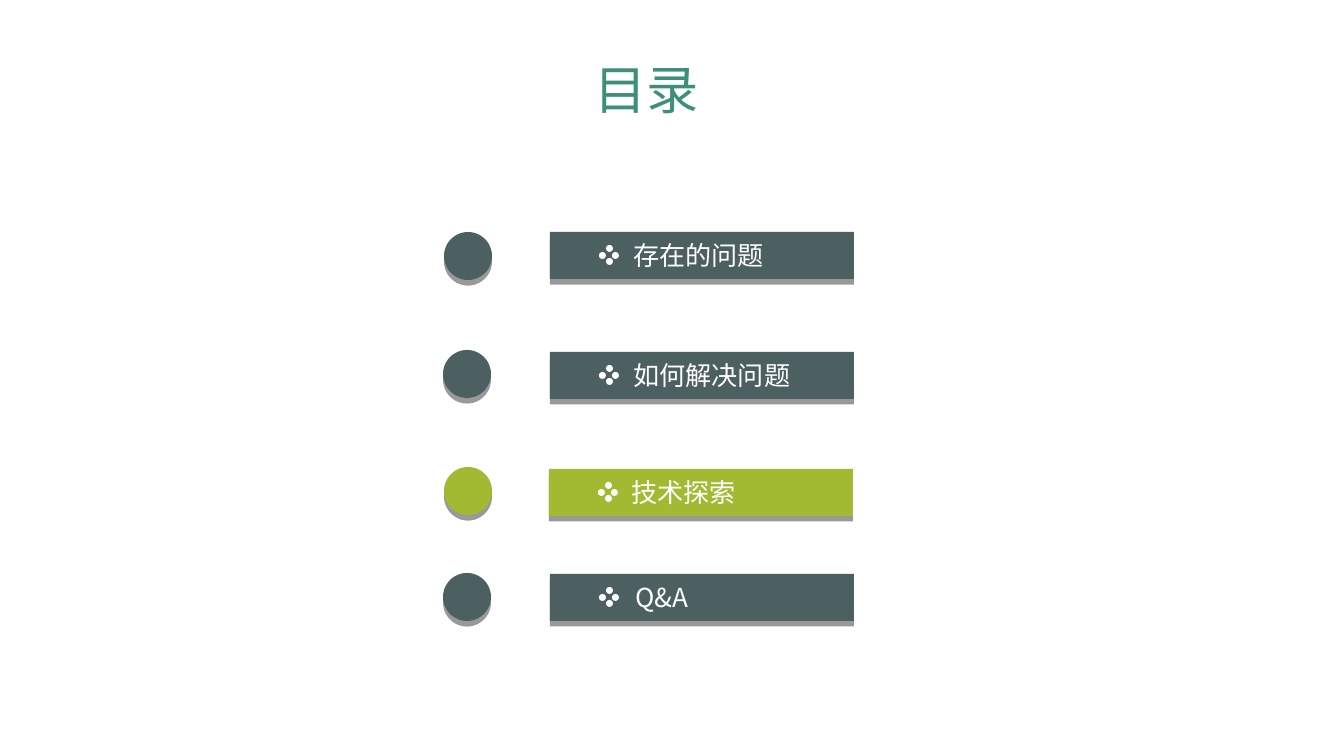
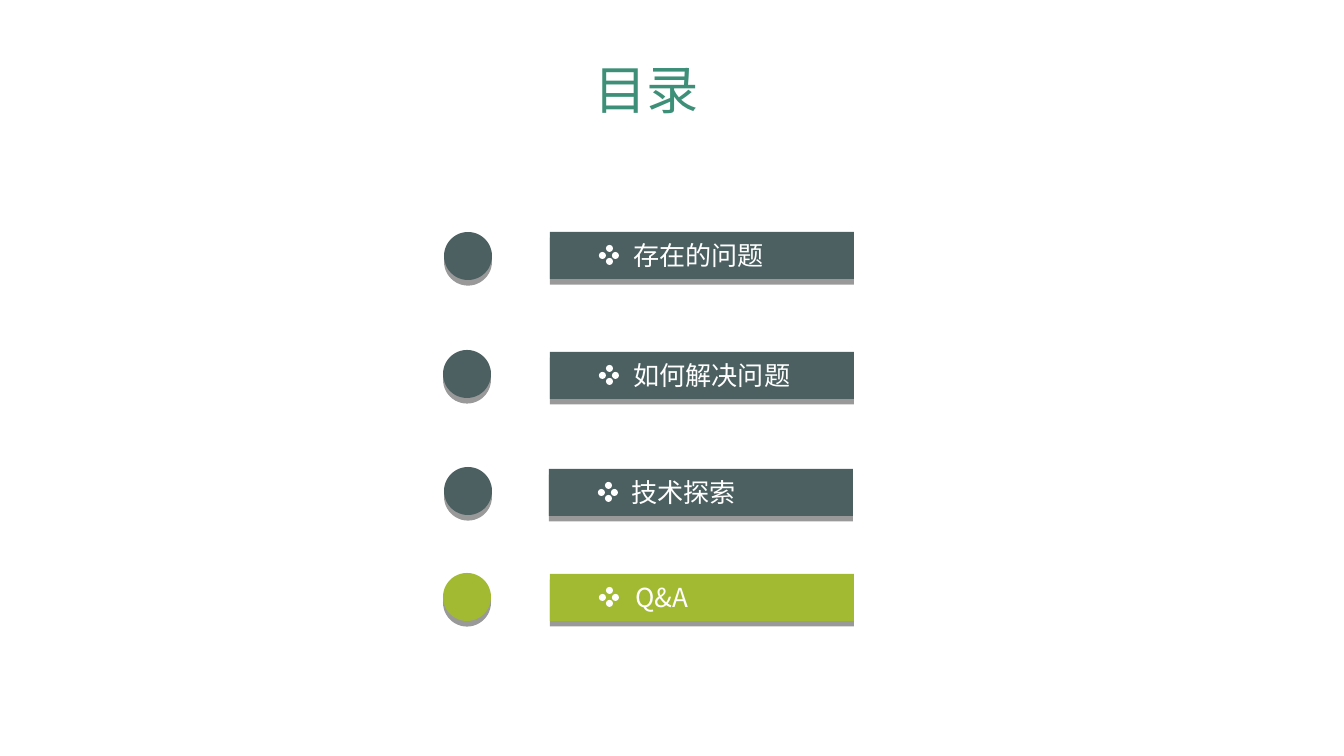
from dataclasses import dataclass

from lxml.etree import SubElement
from pptx import Presentation
from pptx.dml.color import RGBColor
from pptx.enum.shapes import MSO_SHAPE as Preset
from pptx.enum.text import MSO_ANCHOR as Anchor, MSO_AUTO_SIZE as AutoSize
from pptx.oxml.ns import qn
from pptx.util import Emu, Pt

# Scale and shared style
EMU_PER_PX = 914400 / 134.4
FONT = "Noto Sans CJK SC"
COLORS = {
    "title": "3D9077",
    "idle": "4C6062",
    "active": "A2B932",
    "label": "FFFFFF",
    "shadow": "000000",
}
SHADOW_FORMAT = {"blurRad": "0", "dist": str(Pt(3)), "dir": "5400000",
                 "algn": "ctr", "rotWithShape": "0"}
BAR_WIDTH, BAR_HEIGHT = 304, 47
LABEL_HEIGHT = 46
DISC_SIZE = 48

# Four-dot marker, placed relative to its bar
MARKER_LEFT, MARKER_TOP = 49, 13
DOT_SIZE = 7
DOT_OFFSETS = ((7, 0), (13, 7), (0, 7), (7, 13))


@dataclass(frozen=True)
class Box:
    left: int
    top: int
    width: int
    height: int

    def emu(self) -> tuple:
        sides = (self.left, self.top, self.width, self.height)
        return tuple(px(side) for side in sides)


@dataclass(frozen=True)
class AgendaItem:
    text: str
    bar_left: int
    bar_top: int
    label_left: int
    label_width: int
    disc_left: int
    disc_top: int


TITLE_BOX = Box(581, 51, 134, 77)
AGENDA = (
    AgendaItem("存在的问题", 550, 232, 620, 160, 444, 232),
    AgendaItem("如何解决问题", 550, 352, 620, 186, 443, 350),
    AgendaItem("技术探索", 549, 469, 618, 134, 444, 467),
    AgendaItem("Q&A", 550, 574, 622, 85, 443, 573),
)
ACTIVE_ITEMS = (2, 3)  # highlighted agenda item on each slide


def px(length: int) -> Emu:
    return Emu(round(length * EMU_PER_PX))


def set_attributes(target, values: dict) -> None:
    for name, value in values.items():
        setattr(target, name, value)


def add_filled(shapes, preset, box: Box, color: str):
    shape = shapes.add_shape(preset, *box.emu())
    shape.shadow.inherit = False
    shape.fill.solid()
    shape.fill.fore_color.rgb = RGBColor.from_string(COLORS[color])
    shape.line.fill.background()
    return shape


def add_raised(shapes, preset, box: Box, color: str) -> None:
    """Draw a filled shape with a hard shadow just below it."""
    shape = add_filled(shapes, preset, box, color)
    effects = shape.element.spPr.find(qn("a:effectLst"))
    shadow = SubElement(effects, qn("a:outerShdw"), SHADOW_FORMAT)
    shade = SubElement(shadow, qn("a:srgbClr"), val=COLORS["shadow"])
    SubElement(shade, qn("a:alpha"), val="40000")


def add_text(slide, box: Box, text: str, size: int, color: str, anchor) -> None:
    frame = slide.shapes.add_textbox(*box.emu()).text_frame
    set_attributes(frame, {
        "word_wrap": False,
        "auto_size": AutoSize.SHAPE_TO_FIT_TEXT,
        "vertical_anchor": anchor,
    })
    run = frame.paragraphs[0].add_run()
    run.text = text
    set_attributes(run.font, {"size": Pt(size), "name": FONT})
    run.font.color.rgb = RGBColor.from_string(COLORS[color])
    SubElement(run.font._element, qn("a:ea"), typeface=FONT)


def add_marker(slide, left: int, top: int) -> None:
    group = slide.shapes.add_group_shape()
    for across, down in DOT_OFFSETS:
        dot = Box(left + across, top + down, DOT_SIZE, DOT_SIZE)
        add_filled(group.shapes, Preset.OVAL, dot, "label")


def add_agenda_bar(slide, item: AgendaItem, color: str) -> None:
    bar = Box(item.bar_left, item.bar_top, BAR_WIDTH, BAR_HEIGHT)
    add_raised(slide.shapes, Preset.RECTANGLE, bar, color)
    add_marker(slide, item.bar_left + MARKER_LEFT, item.bar_top + MARKER_TOP)
    label = Box(item.label_left, item.bar_top, item.label_width, LABEL_HEIGHT)
    add_text(slide, label, item.text, 14, "label", Anchor.MIDDLE)


def add_agenda_slide(presentation, active: int) -> None:
    slide = presentation.slides.add_slide(presentation.slide_layouts[6])
    colors = ["active" if index == active else "idle"
              for index in range(len(AGENDA))]
    # Bars with marker and label
    for item, color in zip(AGENDA, colors):
        add_agenda_bar(slide, item, color)
    # Title
    add_text(slide, TITLE_BOX, "目录", 28, "title", Anchor.TOP)
    # Discs beside the bars
    for item, color in zip(AGENDA, colors):
        disc = Box(item.disc_left, item.disc_top, DISC_SIZE, DISC_SIZE)
        add_raised(slide.shapes, Preset.OVAL, disc, color)


def main() -> None:
    presentation = Presentation()
    set_attributes(presentation, {"slide_width": px(1344), "slide_height": px(756)})
    for active in ACTIVE_ITEMS:
        add_agenda_slide(presentation, active)
    presentation.save("out.pptx")


if __name__ == "__main__":
    main()
